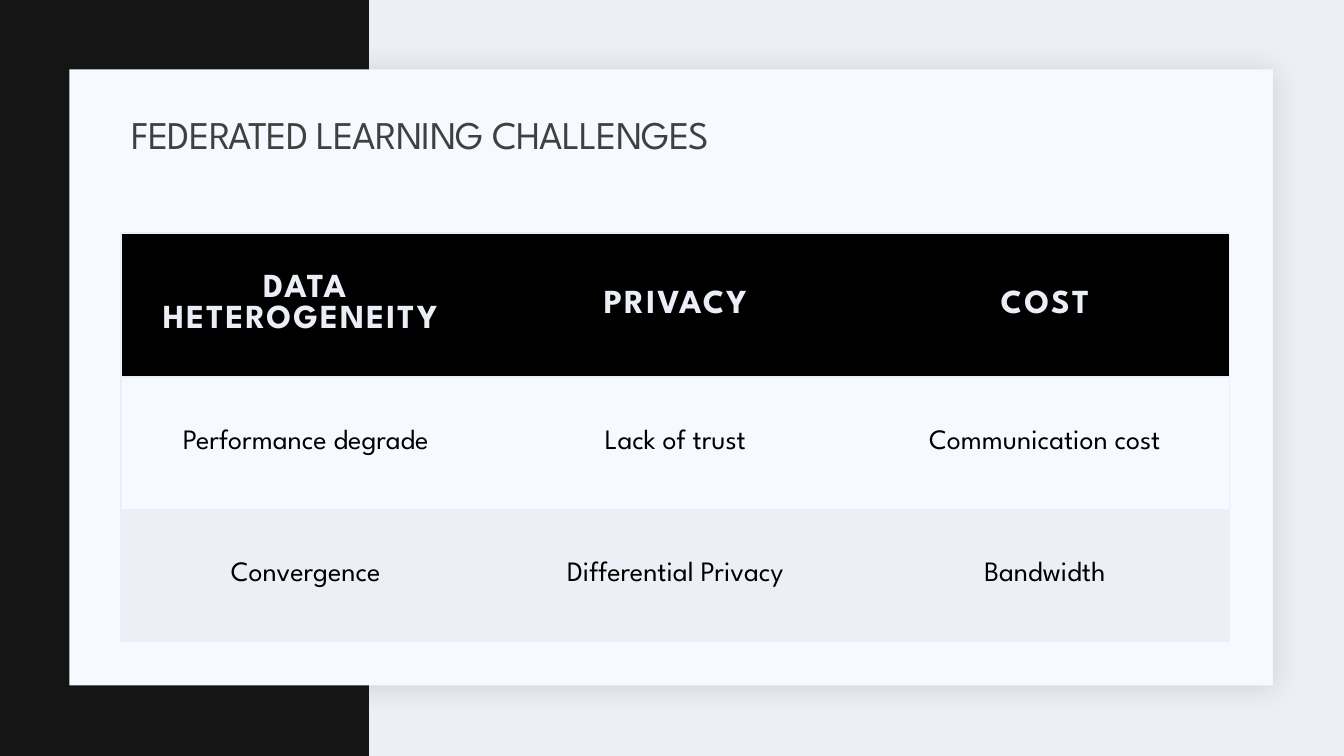
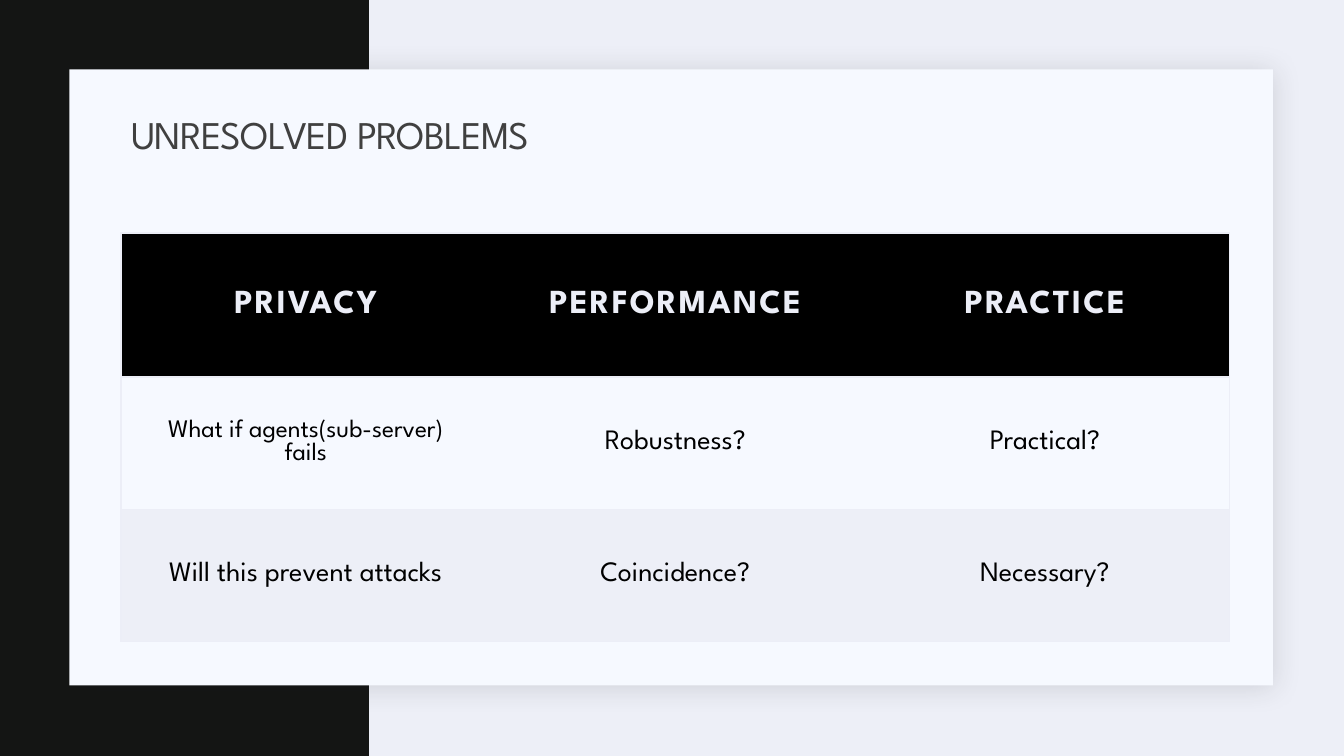
from dataclasses import dataclass

from lxml.etree import SubElement
from pptx import Presentation
from pptx.dml.color import RGBColor
from pptx.enum.shapes import MSO_SHAPE
from pptx.enum.text import MSO_ANCHOR, PP_ALIGN
from pptx.oxml.ns import qn
from pptx.util import Cm, Pt


@dataclass(frozen=True)
class Theme:
    """Colours, font and type sizes of the deck."""
    font: str = "League Spartan"
    band: str = "141514"
    backdrop: str = "EDEFF7"
    card: str = "F6F9FF"
    shadow: str = "1F2125"
    title: str = "404040"
    header: str = "000000"
    header_text: str = "ECEEF7"
    body_text: str = "000000"
    border: str = "ECEEF7"
    title_size: int = 28
    header_size: int = 24
    body_size: int = 20
    small_size: int = 18


@dataclass(frozen=True)
class Box:
    """A rectangle in centimetres."""
    left: float
    top: float
    width: float
    height: float

    def lengths(self):
        """Return the rectangle as slide lengths."""
        return Cm(self.left), Cm(self.top), Cm(self.width), Cm(self.height)

    def inner(self, left, top, width, height):
        """Return a rectangle measured from this one's corner."""
        return Box(self.left + left, self.top + top, width, height)


THEME = Theme()
PAGE = Box(0, 0, 33.87, 19.05)
CARD = PAGE.inner(1.75, 1.75, 30.33, 15.52)
BAND_WIDTH = 9.3
ROW_HEIGHTS = (3.63, 3.33, 3.33)
CELL_MARGIN = 0.64
LONG_TEXT = 30

TABLES = (
    ("FEDERATED LEARNING CHALLENGES", (
        ("DATA HETEROGENEITY ", "PRIVACY", "COST"),
        ("Performance degrade", "Lack of trust", "Communication cost"),
        ("Convergence", "Differential Privacy", "Bandwidth"),
    )),
    ("UNRESOLVED PROBLEMS", (
        ("PRIVACY", "PERFORMANCE", "PRACTICE"),
        ("What if agents(sub-server) fails", "Robustness?", "Practical?"),
        ("Will this prevent attacks", "Coincidence?", "Necessary?"),
    )),
)


def rgb(colour):
    """Turn a hexadecimal string into a colour."""
    return RGBColor.from_string(colour)


def style_text(para, size, colour, bold=False, spacing=0.0):
    """Format every run of a paragraph; spacing is in points."""
    for span in para.runs:
        span.font.name = THEME.font
        span.font.size = Pt(size)
        span.font.bold = bold
        span.font.color.rgb = rgb(colour)
        span.font._element.set("spc", str(round(spacing * 100)))


def add_panel(page, box, colour):
    """Add a plain filled rectangle."""
    panel = page.shapes.add_shape(MSO_SHAPE.RECTANGLE, *box.lengths())
    panel.shadow.inherit = False
    panel.fill.solid()
    panel.fill.fore_color.rgb = rgb(colour)
    panel.line.fill.background()
    return panel


def add_soft_shadow(panel):
    """Give a panel a faint, wide shadow."""
    effects = panel.element.spPr.find(qn("a:effectLst"))
    shadow = SubElement(effects, qn("a:outerShdw"), blurRad=str(Pt(20)),
                        dist=str(Pt(2)), dir="2700000", rotWithShape="0")
    colour = SubElement(shadow, qn("a:srgbClr"), val=THEME.shadow)
    SubElement(colour, qn("a:alpha"), val="15000")


def dress_layout(layout, page):
    """Draw the band and card on a page and hand them to its layout."""
    layout.background.fill.solid()
    layout.background.fill.fore_color.rgb = rgb(THEME.backdrop)
    band = add_panel(page, PAGE.inner(0, 0, BAND_WIDTH, PAGE.height), THEME.band)
    card = add_panel(page, CARD, THEME.card)
    add_soft_shadow(card)
    for position, panel in enumerate((band, card), start=2):
        layout.shapes.element.insert(position, panel.element)


def place_title(page, box, text):
    """Fill and format the title placeholder."""
    title = page.shapes.title
    title.left, title.top, title.width, title.height = box.lengths()
    title.text_frame.text = text
    title.text_frame.vertical_anchor = MSO_ANCHOR.MIDDLE
    para = title.text_frame.paragraphs[0]
    para.alignment = PP_ALIGN.LEFT
    para.line_spacing = 0.9
    style_text(para, THEME.title_size, THEME.title, spacing=-0.5)


def set_borders(cell, first, last):
    """Rule a cell above and below, and at the table's outer sides."""
    properties = cell._tc.get_or_add_tcPr()
    sides = {"a:lnL": first, "a:lnR": last, "a:lnT": True, "a:lnB": True}
    for side, shown in sides.items():
        line = SubElement(properties, qn(side), w=str(Pt(1)))
        if shown:
            fill = SubElement(line, qn("a:solidFill"))
            SubElement(fill, qn("a:srgbClr"), val=THEME.border)
        else:
            SubElement(line, qn("a:noFill"))


def fill_cell(cell, text, fill, is_header):
    """Set the text, fill and margins of a cell."""
    cell.fill.solid()
    cell.fill.fore_color.rgb = rgb(fill)
    cell.margin_left = cell.margin_right = Cm(CELL_MARGIN)
    cell.margin_top = cell.margin_bottom = Cm(CELL_MARGIN)
    cell.vertical_anchor = MSO_ANCHOR.MIDDLE
    para = cell.text_frame.paragraphs[0]
    para.text = text
    para.alignment = PP_ALIGN.CENTER
    if is_header:
        style_text(para, THEME.header_size, THEME.header_text, True, 1.5)
    else:
        size = THEME.small_size if len(text) > LONG_TEXT else THEME.body_size
        style_text(para, size, THEME.body_text)


def place_table(page, box, rows):
    """Add a table with equal columns and one fill per row."""
    count = len(rows[0])
    table = page.shapes.add_table(len(rows), count, *box.lengths()).table
    for column in table.columns:
        column.width = Cm(box.width / count)
    fills = (THEME.header, THEME.card, THEME.backdrop)
    for row_index, (texts, height, fill) in enumerate(zip(rows, ROW_HEIGHTS, fills)):
        table.rows[row_index].height = Cm(height)
        for column_index, text in enumerate(texts):
            cell = table.cell(row_index, column_index)
            set_borders(cell, column_index == 0, column_index == count - 1)
            fill_cell(cell, text, fill, row_index == 0)


def fill_table_page(page, box, title, rows):
    """Place a title and a table inside the card."""
    place_title(page, box.inner(1.3, 0.87, 27.94, 1.63), title)
    place_table(page, box.inner(1.3, 4.12, 27.94, sum(ROW_HEIGHTS)), rows)


def main():
    """Build and save the deck."""
    deck = Presentation()
    deck.slide_width, deck.slide_height = Cm(PAGE.width), Cm(PAGE.height)
    layout = deck.slide_layouts.get_by_name("Title Only")
    pages = [deck.slides.add_slide(layout) for _ in TABLES]
    dress_layout(layout, pages[0])
    for page, (title, rows) in zip(pages, TABLES):
        fill_table_page(page, CARD, title, rows)
    deck.save("out.pptx")


if __name__ == "__main__":
    main()
